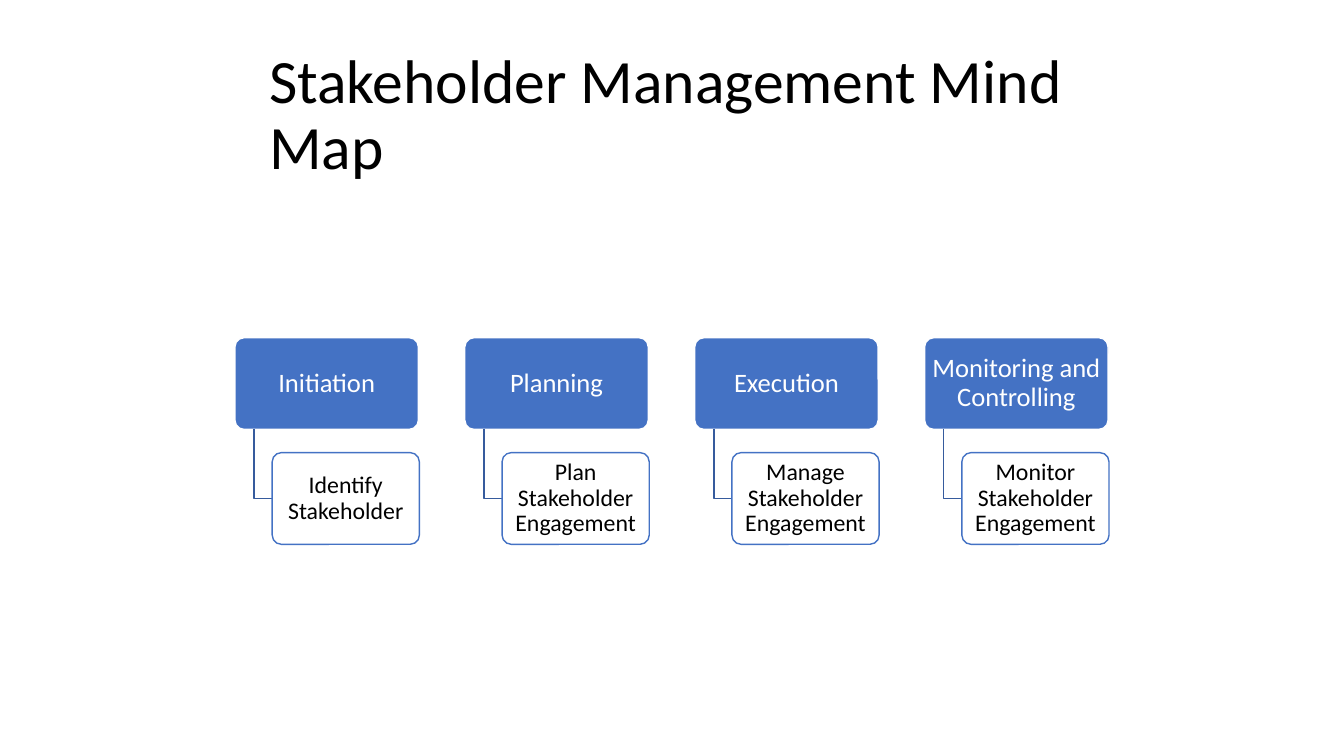
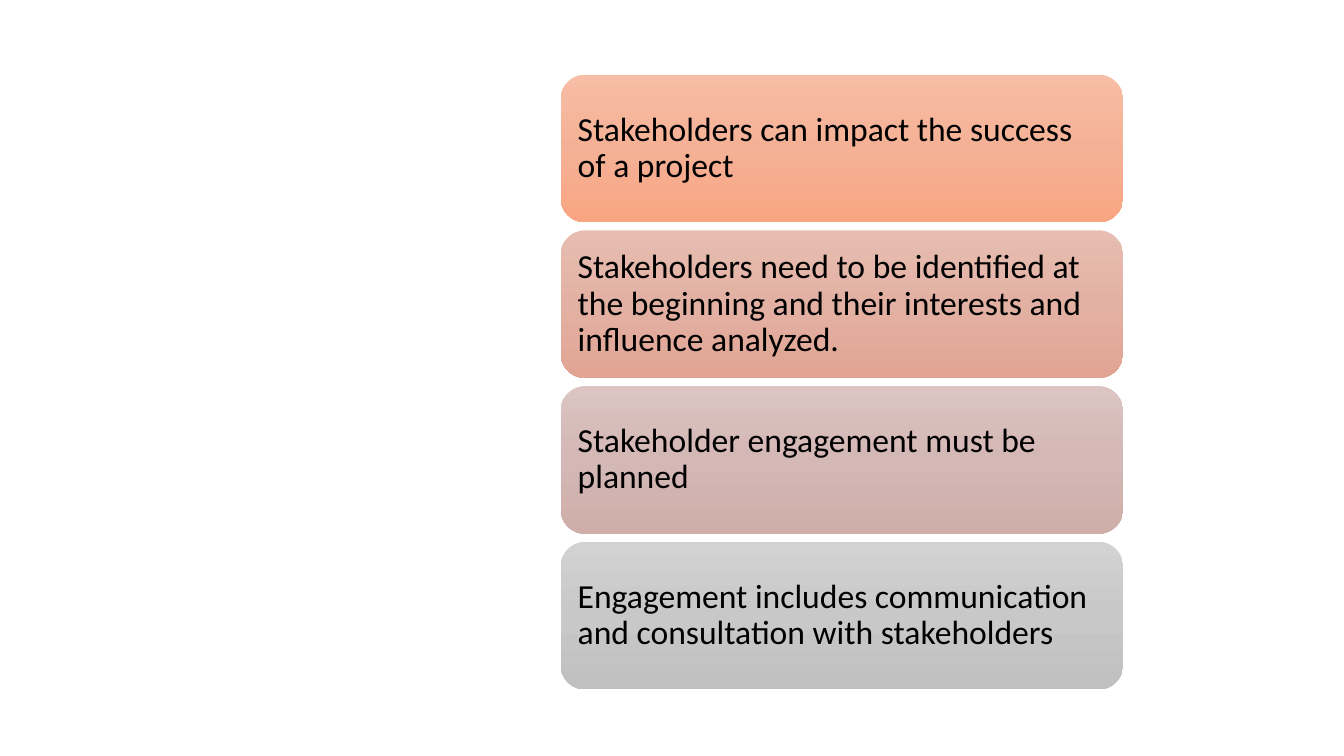
from copy import deepcopy
from dataclasses import dataclass

from pptx import Presentation
from pptx.dml.color import RGBColor
from pptx.enum.shapes import MSO_SHAPE
from pptx.enum.text import MSO_ANCHOR, PP_ALIGN
from pptx.oxml.ns import qn
from pptx.util import Inches, Pt


@dataclass(frozen=True)
class Theme:
    font: str = "Calibri"
    text: str = "000000"
    white: str = "FFFFFF"
    blue: str = "4472C4"
    branch: str = "365B9D"
    title_size: int = 44
    card_size: int = 24
    phase_size: int = 19
    process_size: int = 17
    line_width: int = 1
    line_spacing: float = 0.9


THEME = Theme()

PHASES = [
    ("Initiation", "Identify Stakeholder"),
    ("Planning", "Plan Stakeholder Engagement"),
    ("Execution", "Manage Stakeholder Engagement"),
    ("Monitoring and Controlling", "Monitor Stakeholder Engagement"),
]

# Each card: text, then gradient colours from top to bottom
CARDS = [
    ("Stakeholders can impact the success of a project",
     ("F7BDA5", "F5B196", "F8A582")),
    ("Stakeholders need to be identified at the beginning and their "
     "interests and influence analyzed.",
     ("E7BDB1", "E2B1A3", "E1A493")),
    ("Stakeholder engagement must be planned",
     ("DBC4C1", "D3B8B5", "CFAEA9")),
    ("Engagement includes communication and consultation with stakeholders",
     ("D2D2D2", "C8C8C8", "C0C0C0")),
]


def colour(code):
    return RGBColor.from_string(code)


def write_text(shape, text, size, color=THEME.text, align=PP_ALIGN.LEFT,
               inset_x=0.1, inset_y=0.1):
    frame = shape.text_frame
    frame.word_wrap = True
    frame.vertical_anchor = MSO_ANCHOR.MIDDLE
    frame.margin_left = frame.margin_right = Inches(inset_x)
    frame.margin_top = frame.margin_bottom = Inches(inset_y)
    paragraph = frame.paragraphs[0]
    paragraph.text = text
    paragraph.alignment = align
    paragraph.line_spacing = THEME.line_spacing
    paragraph.font.name = THEME.font
    paragraph.font.size = Pt(size)
    paragraph.font.color.rgb = colour(color)


def add_rounded_box(slide, left, top, width, height, corner):
    shape = slide.shapes.add_shape(
        MSO_SHAPE.ROUNDED_RECTANGLE,
        Inches(left), Inches(top), Inches(width), Inches(height))
    shape.adjustments[0] = corner
    shape.shadow.inherit = False
    return shape


def set_line(shape, color):
    shape.line.color.rgb = colour(color)
    shape.line.width = Pt(THEME.line_width)


def set_gradient(shape, colors):
    """Fill from top to bottom with evenly spaced colour stops."""
    fill = shape.fill
    fill.gradient()
    fill.gradient_angle = 270
    stop_list = shape._element.spPr.find(".//" + qn("a:gsLst"))
    while len(stop_list) < len(colors):
        stop_list.append(deepcopy(stop_list[0]))
    for index, (stop, color) in enumerate(zip(fill.gradient_stops, colors)):
        stop.position = index / (len(colors) - 1)
        stop.color.rgb = colour(color)


def add_title(slide, text, left, top, width, height):
    title = slide.shapes.add_textbox(
        Inches(left), Inches(top), Inches(width), Inches(height))
    write_text(title, text, THEME.title_size, inset_y=0.05)


def add_phase(slide, phase, process, left, top, width):
    """Place a phase heading with its process hanging below it."""
    box_height, gap = 0.91, 0.23
    branch_x, indent = left + 0.19, 0.37
    process_top = top + box_height + gap

    # Phase heading
    heading = add_rounded_box(slide, left, top, width, box_height, 0.1)
    heading.fill.solid()
    heading.fill.fore_color.rgb = colour(THEME.blue)
    set_line(heading, THEME.white)
    write_text(heading, phase, THEME.phase_size, THEME.white,
               PP_ALIGN.CENTER, 0.04, 0.03)

    # Branch from heading to process
    branch_y = Inches(process_top + box_height / 2)
    builder = slide.shapes.build_freeform(
        Inches(branch_x), Inches(top + box_height))
    builder.add_line_segments(
        [(Inches(branch_x), branch_y), (Inches(left + indent), branch_y)],
        close=False)
    branch = builder.convert_to_shape()
    branch.fill.background()
    branch.shadow.inherit = False
    set_line(branch, THEME.branch)

    # Process box
    box = add_rounded_box(slide, left + indent, process_top,
                          width - indent + 0.01, box_height, 0.1)
    box.fill.solid()
    box.fill.fore_color.rgb = colour(THEME.white)
    set_line(box, THEME.blue)
    write_text(box, process, THEME.process_size, THEME.text,
               PP_ALIGN.CENTER, 0.04, 0.02)


def add_mind_map(slide, left, top):
    width, pitch = 1.82, 2.28
    for index, (phase, process) in enumerate(PHASES):
        add_phase(slide, phase, process, left + index * pitch, top, width)


def add_card_stack(slide, left, top, width, height):
    gap = 0.08
    card_height = (height - gap * (len(CARDS) - 1)) / len(CARDS)
    for index, (text, colors) in enumerate(CARDS):
        card = add_rounded_box(slide, left, top + index * (card_height + gap),
                               width, card_height, 0.1667)
        set_gradient(card, colors)
        card.line.fill.background()
        write_text(card, text, THEME.card_size)


def main():
    presentation = Presentation()
    presentation.slide_width = Inches(13.33)
    presentation.slide_height = Inches(7.5)
    blank = presentation.slide_layouts[6]

    # Mind map slide
    slide = presentation.slides.add_slide(blank)
    add_title(slide, "Stakeholder Management Mind Map", 2.57, 0.31, 8.6, 1.69)
    add_mind_map(slide, 2.33, 3.35)

    # Key points slide
    slide = presentation.slides.add_slide(blank)
    add_card_stack(slide, 5.56, 0.74, 5.58, 6.1)

    presentation.save("out.pptx")


if __name__ == "__main__":
    main()
